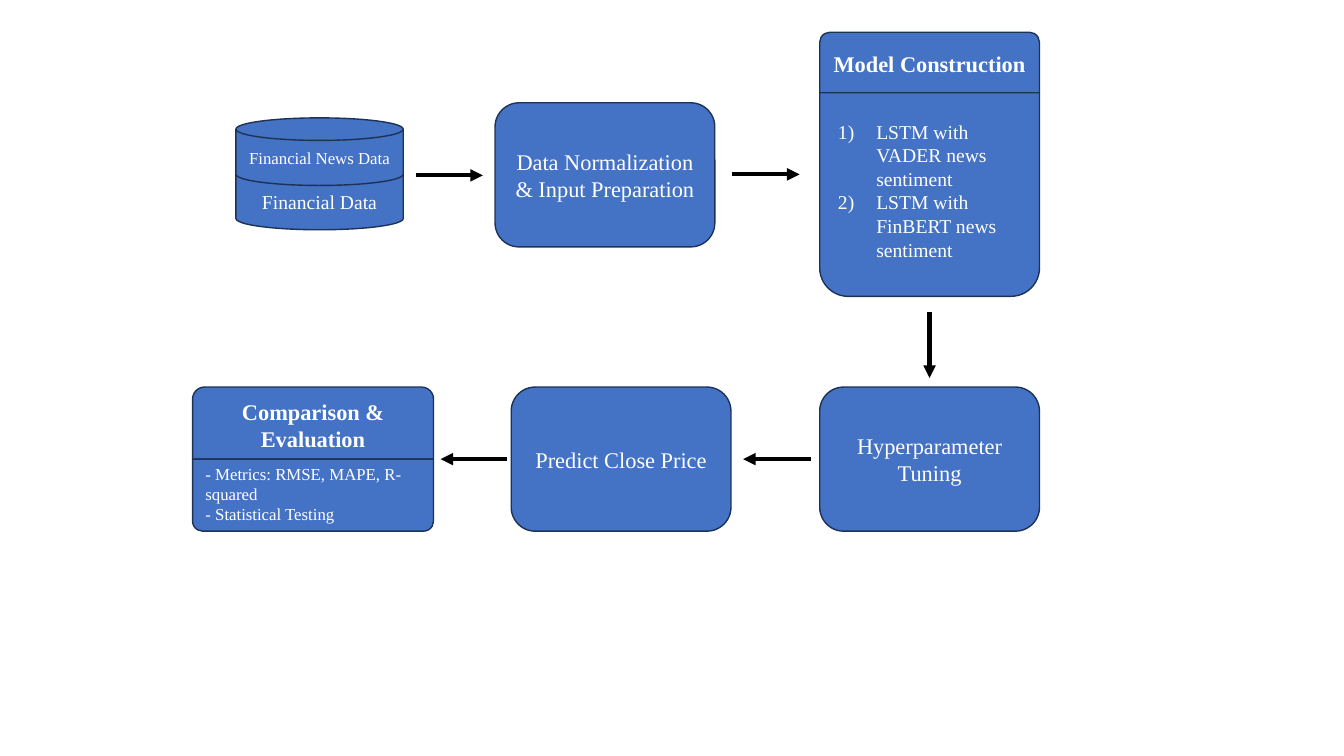
from pptx import Presentation
from pptx.dml.color import RGBColor
from pptx.enum.shapes import MSO_CONNECTOR, MSO_SHAPE as Shape
from pptx.enum.text import MSO_ANCHOR, PP_ALIGN as Align
from pptx.oxml.ns import qn
from pptx.util import Inches, Pt
from lxml.etree import SubElement

COLORS = {"fill": "4472C4", "outline": "1E3256", "text": "FFFFFF", "arrow": "000000"}
FONT = "Times New Roman"
STEP_WIDTH, STEP_HEIGHT = 2.18, 1.43
RIGHT_COLUMN, BOTTOM_ROW = 8.13, 3.84


def color(name):
    return RGBColor.from_string(COLORS[name])


def number_paragraph(para):
    """Give the paragraph a hanging 1), 2), ... number."""
    props = para._p.get_or_add_pPr()
    props.set("marL", str(Inches(0.38)))
    props.set("indent", str(-Inches(0.38)))
    SubElement(props, qn("a:buAutoNum"), type="arabicParenR")


def add_block(shapes, kind, box, lines, size, bold=False, align=Align.CENTER,
              numbered=False, corners=()):
    left, top, width, height = map(Inches, box)
    block = shapes.add_shape(kind, left, top, width, height)
    block.shadow.inherit = False
    block.fill.solid()
    block.fill.fore_color.rgb = color("fill")
    block.line.color.rgb = color("outline")
    block.line.width = Pt(1)
    for index, radius in enumerate(corners):
        block.adjustments[index] = radius

    frame = block.text_frame
    frame.word_wrap = True
    frame.vertical_anchor = MSO_ANCHOR.MIDDLE
    for index, line in enumerate(lines):
        para = frame.add_paragraph() if index else frame.paragraphs[0]
        para.alignment = align
        if numbered:
            number_paragraph(para)
        span = para.add_run()
        span.text = line
        span.font.name = FONT
        span.font.size = Pt(size)
        span.font.bold = bold
        span.font.color.rgb = color("text")


def add_data_store(page, box):
    """Stack two overlapping disks, the upper one in front."""
    left, top, width, height = box
    disk_height, offset = 0.67, height - 0.67
    shapes = page.shapes.add_group_shape().shapes
    for drop, label, size in ((offset, "Financial Data", 14),
                              (0, "Financial News Data", 12)):
        add_block(shapes, Shape.FLOWCHART_MAGNETIC_DISK,
                  (left, top + drop, width, disk_height), [label], size)


def add_step(page, box, label):
    add_block(page.shapes, Shape.ROUNDED_RECTANGLE, box, [label], 16)


def add_titled_card(page, box, title, title_height, lines, size, numbered=False):
    """Draw a bold header with rounded top over a body with rounded bottom."""
    left, top, width, height = box
    shapes = page.shapes.add_group_shape().shapes
    add_block(shapes, Shape.ROUND_2_SAME_RECTANGLE,
              (left, top, width, title_height), [title], 16, bold=True)
    add_block(shapes, Shape.ROUND_2_SAME_RECTANGLE,
              (left, top + title_height, width, height - title_height),
              lines, size, align=Align.LEFT, numbered=numbered, corners=(0, 0.14))


def add_arrow(page, start, end):
    arrow = page.shapes.add_connector(
        MSO_CONNECTOR.STRAIGHT, *map(Inches, (*start, *end)))
    arrow.line.color.rgb = color("arrow")
    arrow.line.width = Pt(3)
    SubElement(arrow.line._get_or_add_ln(), qn("a:tailEnd"), type="triangle")
    SubElement(arrow._element.spPr, qn("a:effectLst"))


def add_pipeline(page):
    add_data_store(page, (2.34, 1.17, 1.66, 1.11))
    for left, top, label in (
        (4.91, 1.02, "Data Normalization & Input Preparation"),
        (RIGHT_COLUMN, BOTTOM_ROW, "Hyperparameter Tuning"),
        (5.07, BOTTOM_ROW, "Predict Close Price"),
    ):
        add_step(page, (left, top, STEP_WIDTH, STEP_HEIGHT), label)
    add_titled_card(
        page, (RIGHT_COLUMN, 0.32, STEP_WIDTH, 2.62), "Model Construction", 0.6,
        ["LSTM with VADER news sentiment", "LSTM with FinBERT news sentiment"],
        14, numbered=True)
    add_titled_card(
        page, (1.91, BOTTOM_ROW, 2.39, STEP_HEIGHT), "Comparison & Evaluation",
        STEP_HEIGHT / 2,
        ["- Metrics: RMSE, MAPE, R-squared", "- Statistical Testing"], 12)

    down_x = RIGHT_COLUMN + STEP_WIDTH / 2
    bottom_y = BOTTOM_ROW + STEP_HEIGHT / 2
    for start, end in (
        ((4.13, 1.74), (4.79, 1.74)),
        ((7.26, 1.73), (7.93, 1.73)),
        ((down_x, 3.1), (down_x, 3.75)),
        ((8.04, bottom_y), (7.37, bottom_y)),
        ((5.03, bottom_y), (4.37, bottom_y)),
    ):
        add_arrow(page, start, end)


def main():
    deck = Presentation()
    deck.slide_width, deck.slide_height = Inches(13.33), Inches(7.5)
    add_pipeline(deck.slides.add_slide(deck.slide_layouts[6]))
    deck.save("out.pptx")


if __name__ == "__main__":
    main()
